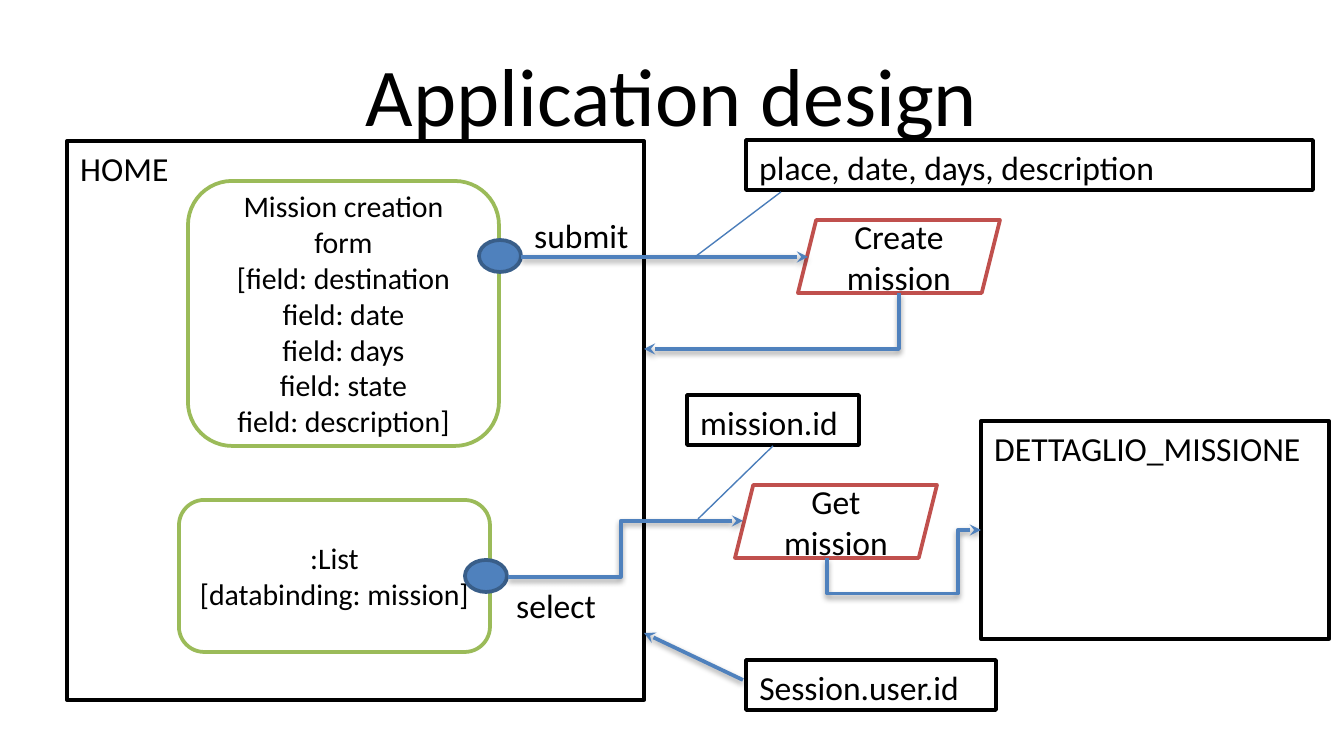
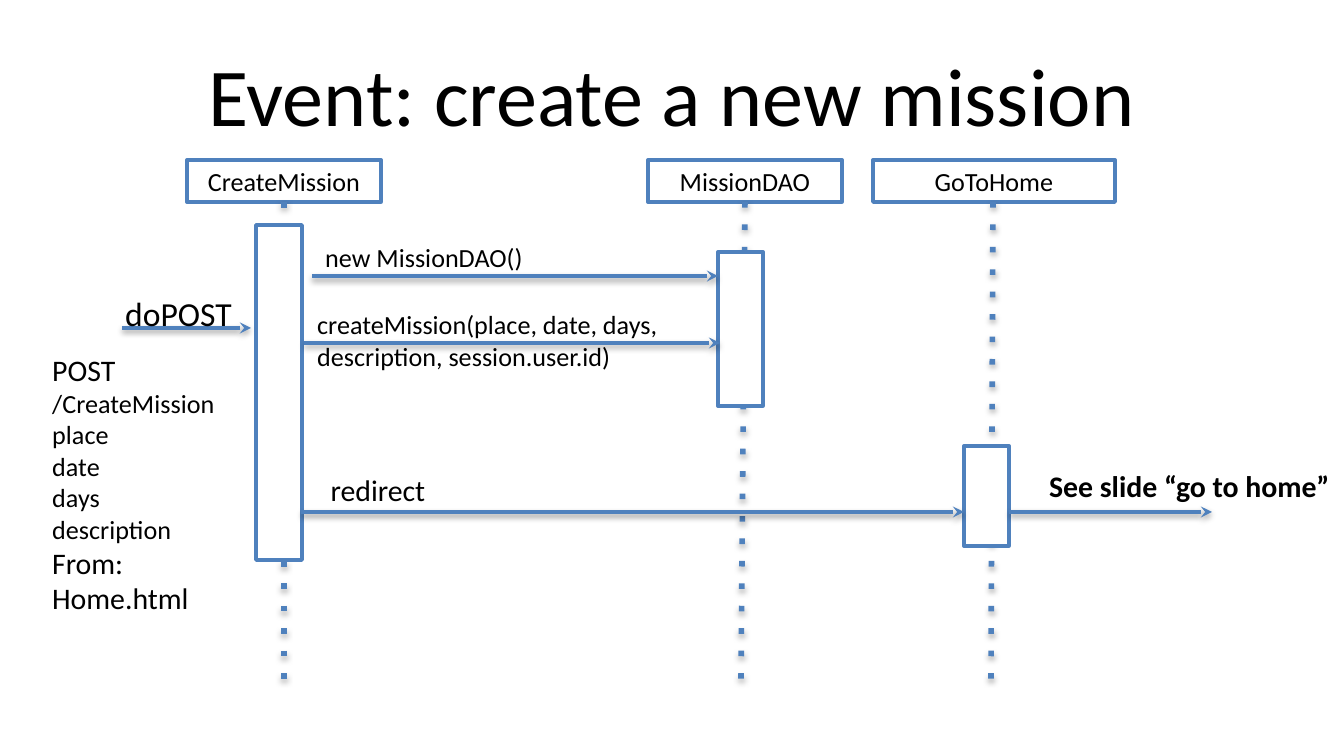
import pptx
import pptx.util
import pptx.dml.color
import pptx.enum.shapes
import pptx.enum.text
import pptx.oxml
import pptx.oxml.ns

RGB = pptx.dml.color.RGBColor
SHAPE = pptx.enum.shapes.MSO_SHAPE
LINK = pptx.enum.shapes.MSO_CONNECTOR
ALIGN = pptx.enum.text.PP_ALIGN
ANCHOR = pptx.enum.text.MSO_ANCHOR

# Shared style
BLACK = RGB(0x00, 0x00, 0x00)
WHITE = RGB(0xFF, 0xFF, 0xFF)
BLUE = RGB(0x4F, 0x81, 0xBD)
NAVY = RGB(0x39, 0x5E, 0x89)
THIN = RGB(0x4A, 0x7D, 0xBA)
GREEN = RGB(0x9B, 0xBB, 0x59)
RED = RGB(0xC0, 0x50, 0x4D)
FONT = "Calibri"
SCALE = 914400 / 134.4
WIDTH, HEIGHT = 1344, 756
TITLE = (67, 31, 1210, 126)

# Slide 1: pages, forms, actions and the flow between them
PAGES = [
    ("HOME", (67, 141, 577, 559)),
    ("place, date, days, description", (746, 140, 567, 50)),
    ("Session.user.id", (746, 660, 250, 50)),
    ("DETTAGLIO_MISSIONE", (981, 421, 348, 218)),
    ("mission.id", (687, 395, 172, 50)),
]
FORMS = [
    (["Mission creation form\v[field: destination", "field: date",
      "field: days", "field: state", "field: description]"],
     (188, 181, 311, 265)),
    ([":List", "[databinding: mission]"], (179, 500, 311, 152)),
]
ACTIONS = [
    ("Create mission", (798, 220)),
    ("Get mission", (735, 485)),
]
ACTION_SIZE = (202, 73)
EVENTS = [(479, 240), (465, 560)]
EVENT_SIZE = (42, 32)
EVENT_TEXT = [("submit", (521, 208, 122, 40)), ("select", (503, 578, 122, 40))]
FLOWS = [
    ((521, 257), (808, 257), {}),
    ((743, 680), (644, 633), {}),
    ((508, 577), (743, 521), dict(bend=3, adj=[0.48])),
    ((899, 293), (644, 349), dict(bend=2, turn=90)),
    ((827, 558), (981, 530), dict(bend=4, turn=270, adj=[-1.27, 0.85])),
]
NOTES = [((781, 192), (695, 257)), ((773, 446), (698, 519))]

# Slide 2: name, head left and width, lifeline top and foot x, bar box
ACTORS = [
    ("CreateMission", 187, 194, 284, 284, (256, 225, 46, 335)),
    ("MissionDAO", 648, 194, 745, 741, (718, 252, 45, 154)),
    ("GoToHome", 873, 242, 993, 991, (964, 446, 45, 100)),
]
HEAD_TOP, HEAD_HIGH, LIFE_END = 160, 42, 680
CALLS = [(122, 251, 328), (312, 718, 276), (304, 720, 343),
         (301, 964, 512), (1009, 1212, 512)]
LABELS = [
    ("doPOST", (112, 286, 134, 40), dict(size=18)),
    ("new MissionDAO()", (312, 235, 394, 34), dict(size=14)),
    ("createMission(place, date, days, description, session.user.id)",
     (304, 302, 379, 34), dict(size=14)),
    ("redirect", (316, 465, 124, 38), dict(size=16, align=ALIGN.CENTER)),
    ("See slide \u201cgo to home\u201d", (1023, 461, 333, 38),
     dict(size=16, align=ALIGN.CENTER, bold=True)),
    (["POST", "/CreateMission", "place", "date", "days", "description",
      "From: ", "Home.html"], (39, 345, 212, 335),
     dict(size=[16] + [14] * 5 + [16] * 2)),
]


def emu(*nums):
    return [round(n * SCALE) for n in nums]


def write(shape, text, size=18, align=ALIGN.LEFT, anchor=ANCHOR.TOP,
          bold=False):
    """Fill a shape with paragraphs; size is one number or one for each."""
    frame = shape.text_frame
    frame.word_wrap = True
    frame.vertical_anchor = anchor
    lines = [text] if isinstance(text, str) else text
    sizes = size if isinstance(size, list) else [size] * len(lines)
    for i, (line, pts) in enumerate(zip(lines, sizes)):
        para = frame.paragraphs[0] if i == 0 else frame.add_paragraph()
        para.text = line
        para.alignment = align
        for run in para.runs:
            run.font.name = FONT
            run.font.size = pptx.util.Pt(pts)
            run.font.bold = bold
            run.font.color.rgb = BLACK


def box(slide, place, edge, kind=SHAPE.RECTANGLE, fill=WHITE, text=None,
        **style):
    shape = slide.shapes.add_shape(kind, *emu(*place))
    shape.shadow.inherit = False
    shape.fill.solid()
    shape.fill.fore_color.rgb = fill
    shape.line.color.rgb = edge
    shape.line.width = pptx.util.Pt(2)
    if text:
        write(shape, text, **style)
    return shape


def label(slide, text, place, **style):
    write(slide.shapes.add_textbox(*emu(*place)), text, **style)


def node(tag, owner, **attrs):
    item = pptx.oxml.parse_xml(
        "<a:%s %s/>" % (tag, pptx.oxml.ns.nsdecls("a")))
    for key, val in attrs.items():
        item.set(key, str(val))
    owner.append(item)
    return item


def link(slide, start, end, color=BLUE, width=2, arrow=True, dash=None,
         shade=(38, 20000), bend=None, turn=0, adj=()):
    """Draw a line or elbow; a turned elbow is laid out before rotation."""
    (x1, y1), (x2, y2) = start, end
    if turn:
        midx, midy = (x1 + x2) / 2, (y1 + y2) / 2
        dx, dy = abs(y2 - y1) / 2, abs(x2 - x1) / 2
        x1, y1, x2, y2 = midx - dx, midy - dy, midx + dx, midy + dy
    kind = LINK.ELBOW if bend else LINK.STRAIGHT
    line = slide.shapes.add_connector(kind, *emu(x1, y1, x2, y2))
    line.line.color.rgb = color
    line.line.width = pptx.util.Pt(width)
    props = line._element.spPr
    stroke = line.line._get_or_add_ln()
    if dash:
        node("prstDash", stroke, val=dash)
    if arrow:
        node("tailEnd", stroke, type="stealth")
    if turn:
        props.xfrm.set("rot", str(turn * 60000))
    if bend:
        geom = props.find(pptx.oxml.ns.qn("a:prstGeom"))
        geom.set("prst", "bentConnector%d" % bend)
        for old in list(geom):
            geom.remove(old)
        guides = node("avLst", geom)
        for i, part in enumerate(adj, 1):
            node("gd", guides, name="adj%d" % i,
                 fmla="val %d" % round(part * 100000))
    effect = node("effectLst", props)
    if shade:
        alpha, dist = shade
        cast = node("outerShdw", effect, blurRad=40000, dist=dist,
                    dir=5400000, rotWithShape=0)
        tint = node("srgbClr", cast, val=BLACK)
        node("alpha", tint, val=alpha * 1000)


def page(deck, title):
    slide = deck.slides.add_slide(deck.slide_layouts[5])
    head = slide.shapes.title
    head.left, head.top, head.width, head.height = emu(*TITLE)
    write(head, title, size=44, align=ALIGN.CENTER, anchor=ANCHOR.MIDDLE)
    return slide


deck = pptx.Presentation()
deck.slide_width, deck.slide_height = emu(WIDTH, HEIGHT)
MID = dict(align=ALIGN.CENTER, anchor=ANCHOR.MIDDLE)

# Application design
slide = page(deck, "Application design")
for text, place in PAGES:
    box(slide, place, BLACK, text=text)
for text, place in FORMS:
    box(slide, place, GREEN, SHAPE.ROUNDED_RECTANGLE, text=text, size=16,
        **MID)
for text, spot in ACTIONS:
    box(slide, spot + ACTION_SIZE, RED, SHAPE.PARALLELOGRAM, text=text, **MID)
for spot in EVENTS:
    box(slide, spot + EVENT_SIZE, NAVY, SHAPE.OVAL, fill=BLUE)
for start, end, style in FLOWS:
    link(slide, start, end, **style)
for start, end in NOTES:
    link(slide, start, end, color=THIN, width=0.75, arrow=False, shade=None)
for text, place in EVENT_TEXT:
    label(slide, text, place)

# Sequence of the create event
slide = page(deck, "Event: create a new mission")
for name, left, wide, top, foot, bar in ACTORS:
    box(slide, (left, HEAD_TOP, wide, HEAD_HIGH), BLUE, text=name, size=14,
        **MID)
    link(slide, (top, HEAD_TOP + HEAD_HIGH), (foot, LIFE_END), width=3,
         arrow=False, dash="dot", shade=(35, 23000))
    box(slide, bar, BLUE)
for start, end, y in CALLS:
    link(slide, (start, y), (end, y))
for text, place, style in LABELS:
    label(slide, text, place, **style)

deck.save("out.pptx")
